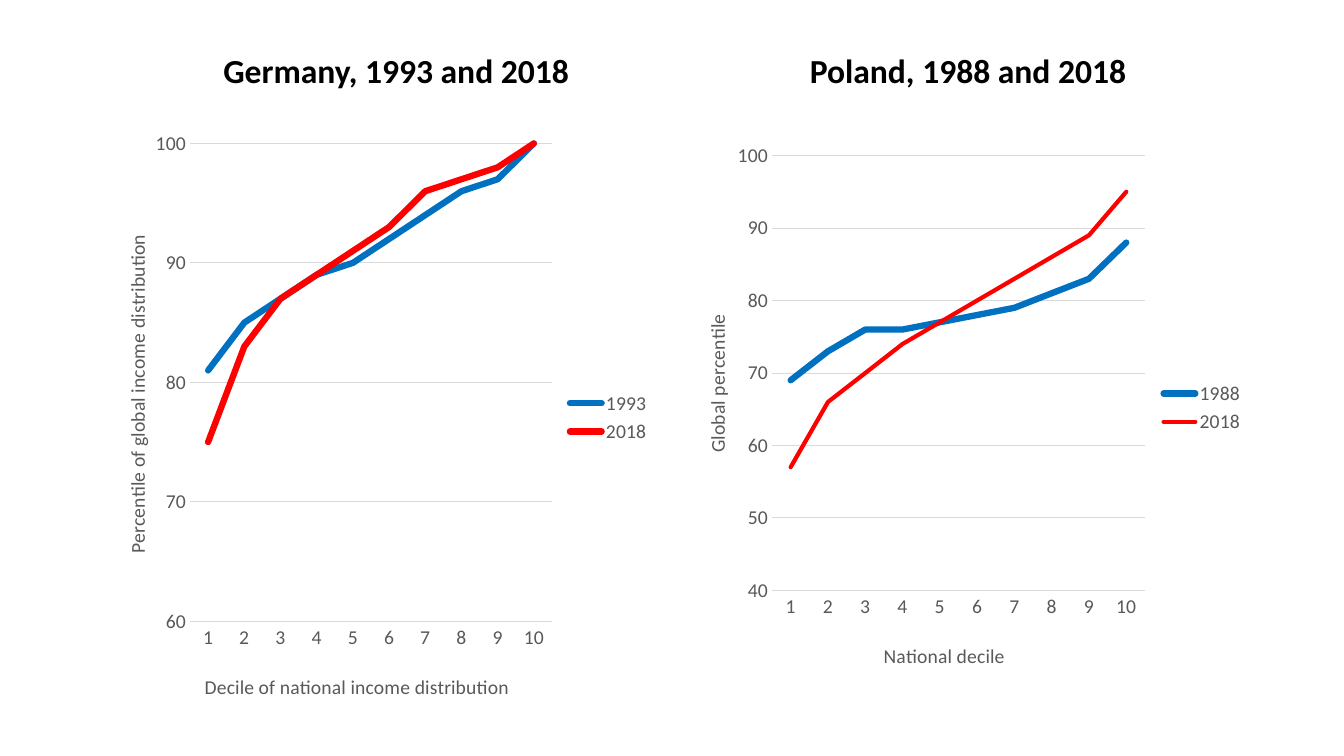
from pptx import Presentation
from pptx.chart.data import CategoryChartData
from pptx.dml.color import RGBColor
from pptx.enum.chart import XL_CHART_TYPE as ChartType, XL_LEGEND_POSITION as LegendPos, XL_TICK_MARK as Tick
from pptx.enum.text import MSO_ANCHOR as Anchor, PP_ALIGN as Align
from pptx.oxml import parse_xml
from pptx.oxml.ns import nsdecls, qn
from pptx.util import Pt

FONT = "Calibri"
COLORS = {"title": "000000", "text": "595959", "grid": "D9D9D9", "early": "0070C0", "late": "FF0000"}
DECILES = [str(n) for n in range(1, 11)]
COUNTRIES = [
    {
        "title": "Germany, 1993 and 2018", "title_box": (80, 34, 406, 36),
        "frame": (66.24, 85.68, 406.08, 424.8), "plot": (69.5, 16.8, 258.6, 341.4),
        "x_title": ("Decile of national income distribution", 77.4, 393),
        "y_title": ("Percentile of global income distribution", 19.5, 79.3),
        "minimum": 60,
        "series": [
            ("1993", "early", 4.5, (81, 85, 87, 89, 90, 92, 94, 96, 97, 100)),
            ("2018", "late", 4.5, (75, 83, 87, 89, 91, 93, 96, 97, 98, 100)),
        ],
    },
    {
        "title": "Poland, 1988 and 2018", "title_box": (487.5, 34, 408, 36),
        "frame": (480.24, 95.04, 416.16, 392.4), "plot": (71.2, 16.1, 266.4, 310.7),
        "x_title": ("National decile", 148.4, 361),
        "y_title": ("Global percentile", 19.8, 127),
        "minimum": 40,
        "series": [
            ("1988", "early", 4.5, (69, 73, 76, 76, 77, 78, 79, 81, 83, 88)),
            ("2018", "late", 3, (57, 66, 70, 74, 77, 80, 83, 86, 89, 95)),
        ],
    },
]


def rgb(name):
    """Return the named colour."""
    return RGBColor.from_string(COLORS[name])


def style_font(font, size, color, bold=False):
    """Apply the typeface, size, colour and weight."""
    font.name, font.size, font.bold = FONT, Pt(size), bold
    font.color.rgb = rgb(color)


def style_line(line, color, width):
    """Apply a colour and width to a line."""
    line.color.rgb = rgb(color)
    line.width = Pt(width)


def place(parent, index, box, frame, inner=False):
    """Fix a chart part at a box in points measured from the chart corner."""
    for old in parent.findall(qn("c:layout")):
        parent.remove(old)
    target = '<c:layoutTarget val="inner"/>' if inner else ""
    keys = "xywh"[:len(box)]
    modes = "".join(f'<c:{k}Mode val="edge"/>' for k in keys[:2])
    values = "".join(f'<c:{k} val="{v / size:.4f}"/>' for k, v, size in zip(keys, box, frame[2:] * 2))
    parent.insert(index, parse_xml(
        f'<c:layout {nsdecls("c")}><c:manualLayout>{target}{modes}{values}</c:manualLayout></c:layout>'))


def style_axis(axis, title, frame, rotation):
    """Format one axis and place its title."""
    text, x, y = title
    axis.major_tick_mark = axis.minor_tick_mark = Tick.NONE
    style_font(axis.tick_labels.font, 14, "text")
    tf = axis.axis_title.text_frame
    tf.text = text
    style_font(tf.paragraphs[0].runs[0].font, 14, "text")
    body = tf._txBody.find(qn("a:bodyPr"))
    body.set("rot", str(rotation))
    body.set("vert", "horz")
    place(axis.axis_title._element, 1, (x, y), frame)


def add_title(s, text, box):
    """Add a country heading."""
    tf = s.shapes.add_textbox(*map(Pt, box)).text_frame
    tf.word_wrap, tf.vertical_anchor = True, Anchor.MIDDLE
    tf.text = text
    p = tf.paragraphs[0]
    p.alignment, p.line_spacing = Align.CENTER, 0.9
    style_font(p.runs[0].font, 24, "title", True)


def add_line_chart(s, country):
    """Add the decile chart of one country."""
    data = CategoryChartData()
    data.categories = DECILES
    for name, _, _, values in country["series"]:
        data.add_series(name, values)
    frame = country["frame"]
    chart = s.shapes.add_chart(ChartType.LINE, *map(Pt, frame), data).chart
    chart.has_title = False
    style_font(chart.font, 10, "title")
    chart.has_legend = True
    chart.legend.position = LegendPos.RIGHT
    chart.legend.include_in_layout = False
    style_font(chart.legend.font, 14, "text")
    chart.plots[0].vary_by_categories = False
    for series, (_, color, width, _) in zip(chart.plots[0].series, country["series"]):
        series.smooth = False
        style_line(series.format.line, color, width)
        series.format.line._ln.set("cap", "rnd")
    x_axis, y_axis = chart.category_axis, chart.value_axis
    style_axis(x_axis, country["x_title"], frame, 0)
    style_axis(y_axis, country["y_title"], frame, -5400000)
    style_line(x_axis.format.line, "grid", 0.75)
    y_axis.format.line.fill.background()
    y_axis.minimum_scale, y_axis.maximum_scale, y_axis.major_unit = country["minimum"], 100, 10
    style_line(y_axis.major_gridlines.format.line, "grid", 0.75)
    place(chart._chartSpace.chart.plotArea, 0, country["plot"], frame, inner=True)


def main():
    """Build the slide and save it."""
    prs = Presentation()
    prs.slide_width, prs.slide_height = Pt(960), Pt(540)
    s = prs.slides.add_slide(prs.slide_layouts[6])
    for country in COUNTRIES:
        add_title(s, country["title"], country["title_box"])
        add_line_chart(s, country)
    prs.save("out.pptx")


if __name__ == "__main__":
    main()
